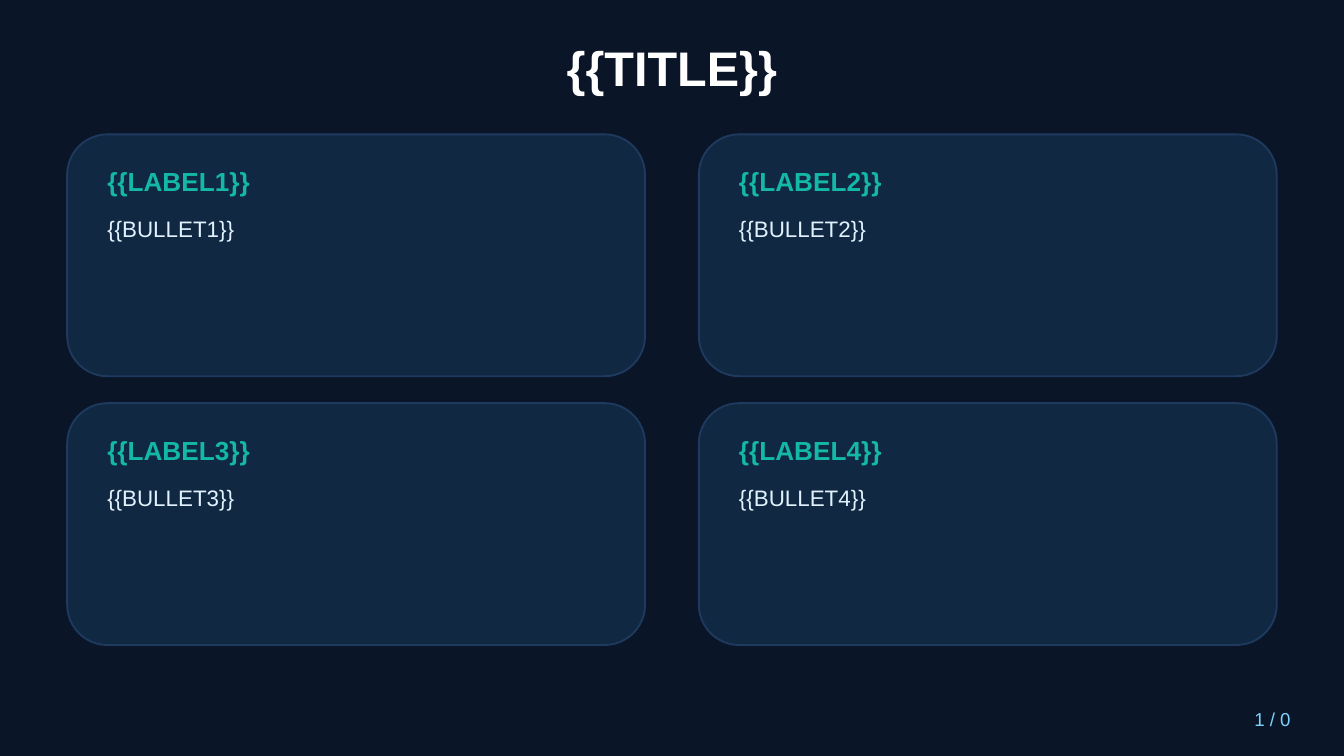
from lxml.etree import SubElement
from pptx import Presentation
from pptx.dml.color import RGBColor
from pptx.enum.shapes import MSO_SHAPE
from pptx.enum.text import MSO_ANCHOR, PP_ALIGN
from pptx.oxml.ns import qn
from pptx.util import Inches, Pt

# Content
TITLE = "{{TITLE}}"
CARDS = [
    ("{{LABEL1}}", "{{BULLET1}}"),
    ("{{LABEL2}}", "{{BULLET2}}"),
    ("{{LABEL3}}", "{{BULLET3}}"),
    ("{{LABEL4}}", "{{BULLET4}}"),
]
PAGE_NUMBER = "1 / 0"

# Colours
NAVY = RGBColor(0x0A, 0x16, 0x28)
CARD_FILL = RGBColor(0x12, 0x2A, 0x45)
CARD_LINE = RGBColor(0x1E, 0x3A, 0x5F)
WHITE = RGBColor(0xFF, 0xFF, 0xFF)
TEAL = RGBColor(0x14, 0xB8, 0xA6)
PALE_BLUE = RGBColor(0xE0, 0xF2, 0xFE)
SKY = RGBColor(0x7D, 0xD3, 0xFC)

# Text formats
TITLE_FONT = {"name": "Arial", "size": Pt(26), "bold": True}
LABEL_FONT = {"name": "Arial", "size": Pt(14), "bold": True}
BULLET_FONT = {"name": "Arial", "size": Pt(12)}
PAGE_FONT = {"name": "Arial", "size": Pt(10)}

# Card grid, in inches
COLUMNS = 2
LEFT, TOP = 0.5, 1
CARD_WIDTH, CARD_HEIGHT = 4.3, 1.8
COLUMN_GAP, ROW_GAP = 0.4, 0.2
PADDING = 0.2
CARD_OPACITY = 90


def add_text(slide, text, box, font, color,
             align=PP_ALIGN.LEFT, anchor=MSO_ANCHOR.MIDDLE):
    frame = slide.shapes.add_textbox(*map(Inches, box)).text_frame
    frame.word_wrap = True
    frame.vertical_anchor = anchor
    paragraph = frame.paragraphs[0]
    paragraph.alignment = align
    run = paragraph.add_run()
    run.text = text
    for attribute, value in font.items():
        setattr(run.font, attribute, value)
    run.font.color.rgb = color


def add_card(slide, x, y, label, bullet):
    card = slide.shapes.add_shape(
        MSO_SHAPE.ROUNDED_RECTANGLE,
        *map(Inches, (x, y, CARD_WIDTH, CARD_HEIGHT)))
    card.shadow.inherit = False
    card.fill.solid()
    card.fill.fore_color.rgb = CARD_FILL
    fill_color = card.fill._xPr.find(qn("a:solidFill"))[0]
    SubElement(fill_color, qn("a:alpha"), val=str(CARD_OPACITY * 1000))
    card.line.color.rgb = CARD_LINE
    card.line.width = Pt(1)

    text_x, text_width = x + PADDING, CARD_WIDTH - 2 * PADDING
    add_text(slide, label, (text_x, y + 0.15, text_width, 0.4),
             LABEL_FONT, TEAL)
    add_text(slide, bullet, (text_x, y + 0.55, text_width, 1),
             BULLET_FONT, PALE_BLUE, anchor=MSO_ANCHOR.TOP)


def main():
    # 16:9 slide with a plain background
    deck = Presentation()
    deck.slide_width = Inches(10)
    deck.slide_height = Inches(10 * 9 / 16)
    slide = deck.slides.add_slide(deck.slide_layouts[6])
    slide.background.fill.solid()
    slide.background.fill.fore_color.rgb = NAVY

    # Title
    add_text(slide, TITLE, (0.5, 0.2, 9, 0.6), TITLE_FONT, WHITE,
             PP_ALIGN.CENTER)

    # Cards, row by row
    for index, (label, bullet) in enumerate(CARDS):
        row, column = divmod(index, COLUMNS)
        add_card(slide, LEFT + column * (CARD_WIDTH + COLUMN_GAP),
                 TOP + row * (CARD_HEIGHT + ROW_GAP), label, bullet)

    # Page number
    add_text(slide, PAGE_NUMBER, (8.5, 5.2, 1.2, 0.3), PAGE_FONT, SKY,
             PP_ALIGN.RIGHT)

    deck.save("out.pptx")


if __name__ == "__main__":
    main()
